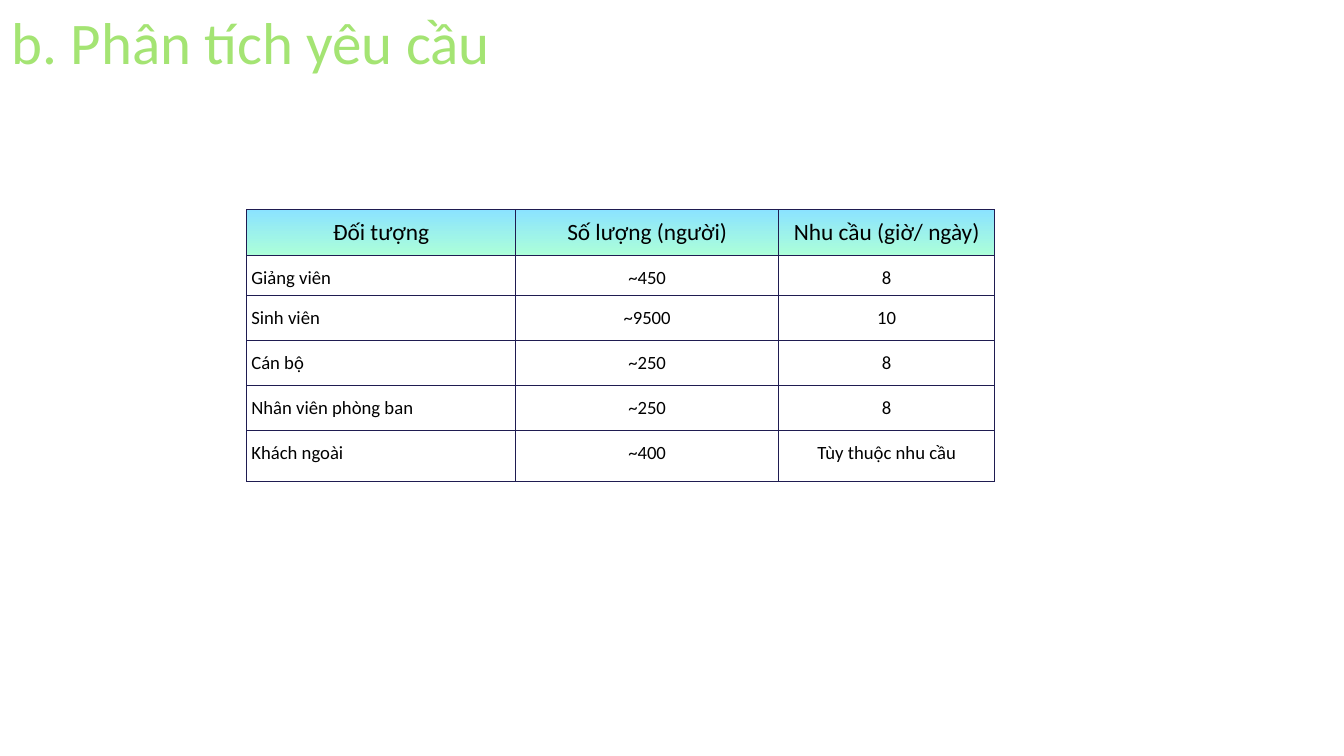
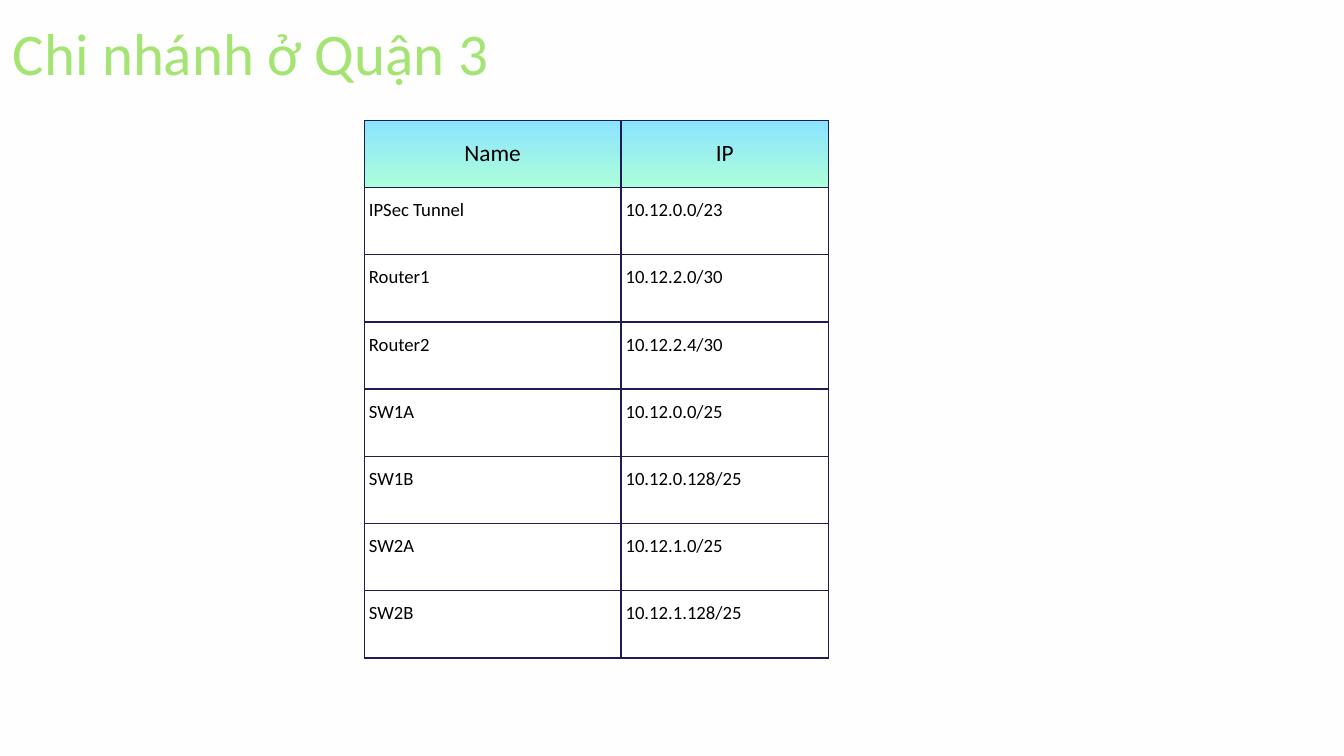
import pptx
import pptx.dml.color
import pptx.enum.text
import pptx.oxml
import pptx.oxml.ns
import pptx.util

Inches = pptx.util.Inches
Pt = pptx.util.Pt
RGBColor = pptx.dml.color.RGBColor
Align = pptx.enum.text.PP_ALIGN
Anchor = pptx.enum.text.MSO_ANCHOR

FONT = "Calibri"
GREEN = RGBColor(0xA4, 0xE4, 0x73)
NAVY = RGBColor(0x1F, 0x1C, 0x51)
SKY = RGBColor(0x8B, 0xE3, 0xFF)
MINT = RGBColor(0xAC, 0xFF, 0xD9)
BLACK = RGBColor(0, 0, 0)
WHITE = RGBColor(0xFF, 0xFF, 0xFF)
OFF_WHITE = RGBColor(0xFE, 0xFE, 0xFE)

TITLE_ONLY = 5

AUDIENCE_ROWS = [
    ("Đối tượng", "Số lượng (người)", "Nhu cầu (giờ/ ngày)"),
    ("Giảng viên", "~450", "8"),
    ("Sinh viên", "~9500", "10"),
    ("Cán bộ", "~250", "8"),
    ("Nhân viên phòng ban", "~250", "8"),
    ("Khách ngoài", "~400", "Tùy thuộc nhu cầu"),
]
ADDRESS_ROWS = [
    ("Name", "IP"),
    ("IPSec Tunnel", "10.12.0.0/23"),
    ("Router1", "10.12.2.0/30"),
    ("Router2", "10.12.2.4/30"),
    ("SW1A", "10.12.0.0/25"),
    ("SW1B", "10.12.0.128/25"),
    ("SW2A", "10.12.1.0/25"),
    ("SW2B", "10.12.1.128/25"),
]


def write_text(frame, text, size, color=BLACK, align=Align.LEFT, spacing=None):
    para = frame.paragraphs[0]
    para.alignment = align
    para.line_spacing = spacing
    span = para.add_run()
    span.text = text
    span.font.name = FONT
    span.font.size = Pt(size)
    span.font.color.rgb = color


def set_margins(holder, horizontal, vertical):
    holder.margin_left = holder.margin_right = Inches(horizontal)
    holder.margin_top = holder.margin_bottom = Inches(vertical)


def add_page(deck, title, left, top, background):
    page = deck.slides.add_slide(deck.slide_layouts[TITLE_ONLY])
    page.background.fill.solid()
    page.background.fill.fore_color.rgb = background
    box = page.shapes.title
    box.left, box.top = Inches(left), Inches(top)
    box.width, box.height = Inches(12.3), Inches(1.14)
    frame = box.text_frame
    frame.word_wrap = True
    frame.auto_size = pptx.enum.text.MSO_AUTO_SIZE.NONE
    frame.vertical_anchor = Anchor.TOP
    set_margins(frame, 0, 0)
    write_text(frame, title, 63.2, GREEN, spacing=Pt(82.2))
    return page


def add_borders(cell):
    """Outline the cell; call before filling, as borders precede the fill in XML."""
    properties = cell._tc.get_or_add_tcPr()
    for side in "LRTB":
        properties.append(pptx.oxml.parse_xml(
            f'<a:ln{side} {pptx.oxml.ns.nsdecls("a")} w="{Pt(1.5)}">'
            f'<a:solidFill><a:srgbClr val="{NAVY}"/></a:solidFill></a:ln{side}>'))


def format_header(cell, text):
    cell.fill.gradient()
    cell.fill.gradient_angle = 270
    for stop, color in zip(cell.fill.gradient_stops, (SKY, MINT)):
        stop.color.rgb = color
    cell.vertical_anchor = Anchor.MIDDLE
    set_margins(cell, 0.1, 0.1)
    write_text(cell.text_frame, text, 25, align=Align.CENTER)


def format_body(cell, text, align):
    cell.fill.solid()
    cell.fill.fore_color.rgb = WHITE
    cell.vertical_anchor = Anchor.TOP
    set_margins(cell, 0.07, 0)
    write_text(cell.text_frame, text, 20, align=align, spacing=1.5)


def add_grid(page, left, top, widths, heights, rows, aligns):
    """Add a table whose first row is the header; aligns applies to body columns."""
    table = page.shapes.add_table(
        len(rows), len(widths), Inches(left), Inches(top),
        Inches(sum(widths)), Inches(sum(heights))).table
    table.first_row = False
    table.horz_banding = False
    for column, width in zip(table.columns, widths):
        column.width = Inches(width)
    for row, height in zip(table.rows, heights):
        row.height = Inches(height)
    for row_index, texts in enumerate(rows):
        for column_index, text in enumerate(texts):
            cell = table.cell(row_index, column_index)
            add_borders(cell)
            if row_index == 0:
                format_header(cell, text)
            else:
                format_body(cell, text, aligns[column_index])


def main():
    deck = pptx.Presentation()
    deck.slide_width, deck.slide_height = Inches(20), Inches(11.25)

    page = add_page(deck, "b. Phân tích yêu cầu", 0.17, -0.01, WHITE)
    add_grid(page, 3.67, 3.12, [4, 3.92, 3.21],
             [0.68, 0.6, 0.67, 0.67, 0.67, 0.76], AUDIENCE_ROWS,
             [Align.LEFT, Align.CENTER, Align.CENTER])

    page = add_page(deck, "Chi nhánh ở Quận 3", 0.19, 0.15, OFF_WHITE)
    add_grid(page, 5.42, 1.79, [3.82, 3.09], [1] * len(ADDRESS_ROWS),
             ADDRESS_ROWS, [Align.LEFT, Align.LEFT])

    deck.save("out.pptx")


if __name__ == "__main__":
    main()
